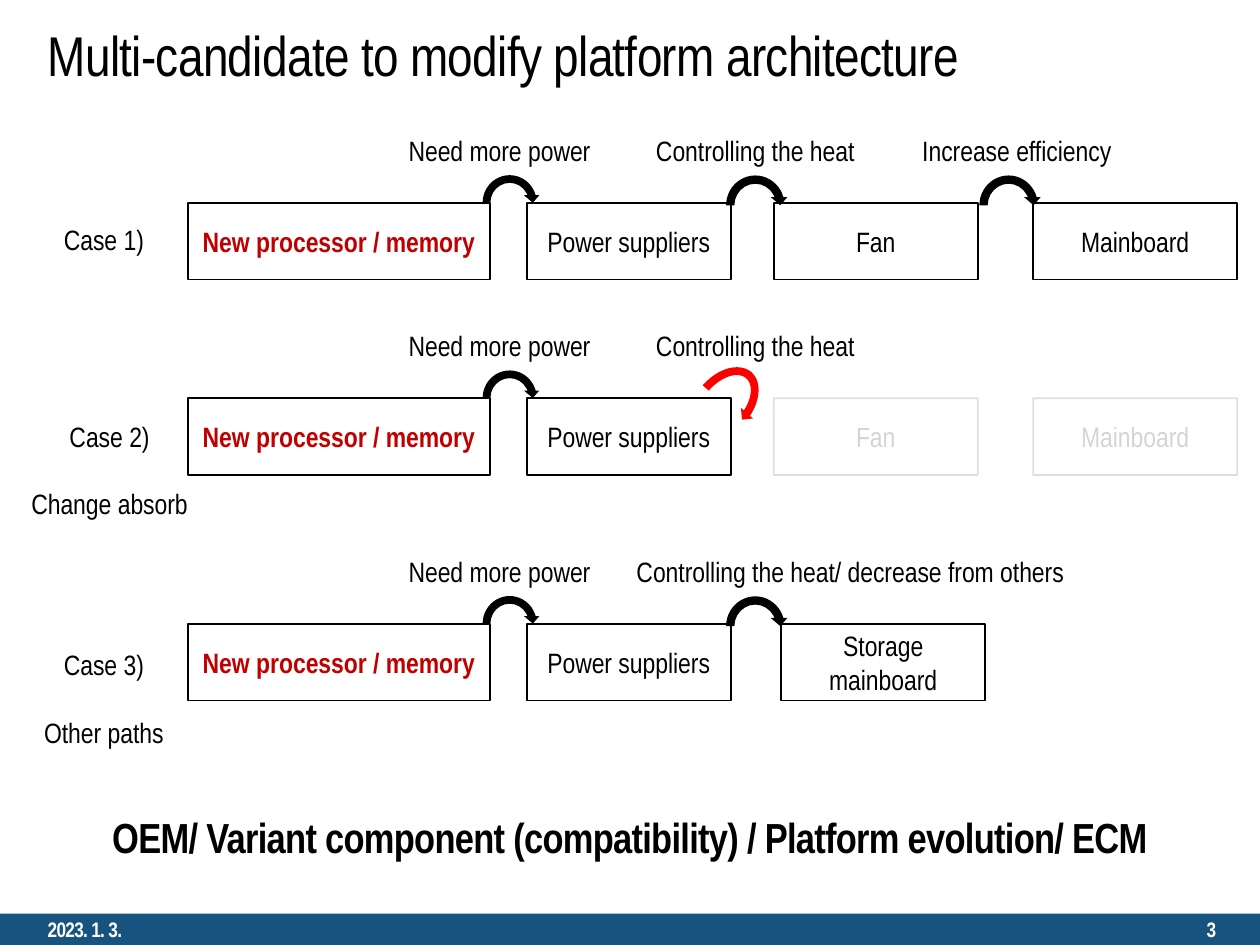
import pptx
import pptx.dml.color
import pptx.enum.shapes
import pptx.enum.text
import pptx.oxml
import pptx.oxml.ns
import pptx.util
from pptx.util import Inches

SHAPE = pptx.enum.shapes.MSO_SHAPE
ALIGN = pptx.enum.text.PP_ALIGN
ANCHOR = pptx.enum.text.MSO_ANCHOR

FONT = "Arial Narrow"
BLACK, WHITE, RED, DARK_RED, BLUE = "000000", "FFFFFF", "FF0000", "C00000", "16537F"
FADED_LINE, FADED_TEXT = 12, 17  # opacity in percent

TITLE = "Multi-candidate to modify platform architecture"
SUMMARY = "OEM/ Variant component (compatibility) / Platform evolution/ ECM"
DATE, NUMBER = "2023. 1. 3.", "3"

BOX_HEIGHT, BOX_WIDTH = 0.61, 1.62
SOURCE = ["New processor / memory"]
POWER = ["Power suppliers"]
HEAT = "Controlling the heat "

# Steps: lines, left, faded. Captions: text, left, width. Arrows: left, size.
FIRST_ARROW = (3.8, 0.49, 0.5)
SECOND_ARROW = (5.73, 0.53, 0.54)
THIRD_ARROW = (7.74, 0.53, 0.54)
CASES = [
    {"top": 1.61, "label": ["Case 1)"], "label_at": (0.22, 1.72, 1.21, 0.37),
     "steps": [(["Fan"], 6.14, False), (["Mainboard"], 8.2, False)],
     "captions": [(HEAT, 5.08, 1.88), ("Increase efficiency", 7.13, 1.88)],
     "arrows": [SECOND_ARROW, THIRD_ARROW]},
    {"top": 3.16, "label": ["Case 2)", "Change absorb"], "label_at": (-0.02, 3.28, 1.78, 0.91),
     "steps": [(["Fan"], 6.14, True), (["Mainboard"], 8.2, True)],
     "captions": [(HEAT, 5.08, 1.88)],
     "arrows": []},
    {"top": 4.95, "label": ["Case 3)", "Other paths"], "label_at": (0.22, 5.09, 1.21, 0.91),
     "steps": [(["Storage", "mainboard"], 6.2, False)],
     "captions": [("Controlling the heat/ decrease from others ", 4.81, 3.93)],
     "arrows": [SECOND_ARROW]},
]
ABSORBED_ARROW = (5.49, 2.84, 0.51, 0.73)


def paint(color_format, color):
    color_format.rgb = pptx.dml.color.RGBColor.from_string(color)


def fade(fill, percent):
    """Set the opacity of a solid fill that already has its colour."""
    qn = pptx.oxml.ns.qn
    for color in fill.iter(qn("a:srgbClr")):
        color.append(pptx.oxml.parse_xml(
            f'<a:alpha {pptx.oxml.ns.nsdecls("a")} val="{percent * 1000}"/>'))


def write(shape, lines, size=16, color=BLACK, bold=False, align=ALIGN.CENTER,
          anchor=ANCHOR.MIDDLE, spacing=0, gap=0, opacity=100):
    frame = shape.text_frame
    frame.word_wrap = True
    frame.vertical_anchor = anchor
    for index, line in enumerate(lines):
        para = frame.add_paragraph() if index else frame.paragraphs[0]
        para.alignment = align
        if index and gap:
            para.space_before = pptx.util.Pt(gap)
        span = para.add_run()
        span.text = line
        span.font.name = FONT
        span.font.size = pptx.util.Pt(size)
        span.font.bold = bold
        span.font.fill.solid()
        paint(span.font.fill.fore_color, color)
        properties = span.font._element
        if spacing:
            properties.set("spc", str(round(spacing * 100)))
        if opacity < 100:
            fade(properties, opacity)


def add_text(page, at, lines, **style):
    write(page.shapes.add_textbox(*map(Inches, at)), lines, **style)


def add_solid(page, kind, at, color):
    shape = page.shapes.add_shape(kind, *map(Inches, at))
    shape.shadow.inherit = False
    shape.fill.solid()
    paint(shape.fill.fore_color, color)
    shape.line.fill.background()
    return shape


def add_step(page, at, lines, faded=False, **style):
    box = page.shapes.add_shape(SHAPE.RECTANGLE, *map(Inches, at))
    box.shadow.inherit = False
    box.fill.background()
    box.line.width = pptx.util.Pt(1)
    paint(box.line.color, BLACK)
    if faded:
        fade(box.line._ln, FADED_LINE)
    write(box, lines, opacity=FADED_TEXT if faded else 100, **style)


def add_case(page, case):
    top = case["top"]
    add_step(page, (1.49, top, 2.4, BOX_HEIGHT), SOURCE, color=DARK_RED, bold=True)
    for lines, left, faded in [(POWER, 4.18, False)] + case["steps"]:
        add_step(page, (left, top, BOX_WIDTH, BOX_HEIGHT), lines, faded)
    for left, width, height in [FIRST_ARROW] + case["arrows"]:
        add_solid(page, SHAPE.CIRCULAR_ARROW, (left, top - 0.25, width, height), BLACK)
    for text, left, width in [("Need more power", 2.33, 3.27)] + case["captions"]:
        add_text(page, (left, top - 0.6, width, 0.37), [text], anchor=ANCHOR.TOP)
    add_text(page, case["label_at"], case["label"], anchor=ANCHOR.TOP, gap=19.4)


def main():
    deck = pptx.Presentation()
    deck.slide_width, deck.slide_height = Inches(10), Inches(7.5)
    page = deck.slides.add_slide(deck.slide_layouts[6])

    add_solid(page, SHAPE.RECTANGLE, (0, 7.25, 10, 0.25), BLUE)
    for text, left, align in [(DATE, 0.28, ALIGN.LEFT), (NUMBER, 7.5, ALIGN.RIGHT)]:
        add_text(page, (left, 7.25, 2.25, 0.25), [text], size=12, color=WHITE,
                 bold=True, align=align, spacing=-0.4)
    for case in CASES:
        add_case(page, case)
    add_solid(page, SHAPE.CIRCULAR_ARROW, ABSORBED_ARROW, RED).rotation = 41.2

    add_text(page, (0.28, 0.11, 9.38, 0.64), [TITLE], size=32, align=ALIGN.LEFT, spacing=-0.4)
    add_text(page, (0.31, 6.32, 9.38, 0.64), [SUMMARY], size=24, bold=True, spacing=-0.4)
    deck.save("out.pptx")


if __name__ == "__main__":
    main()
